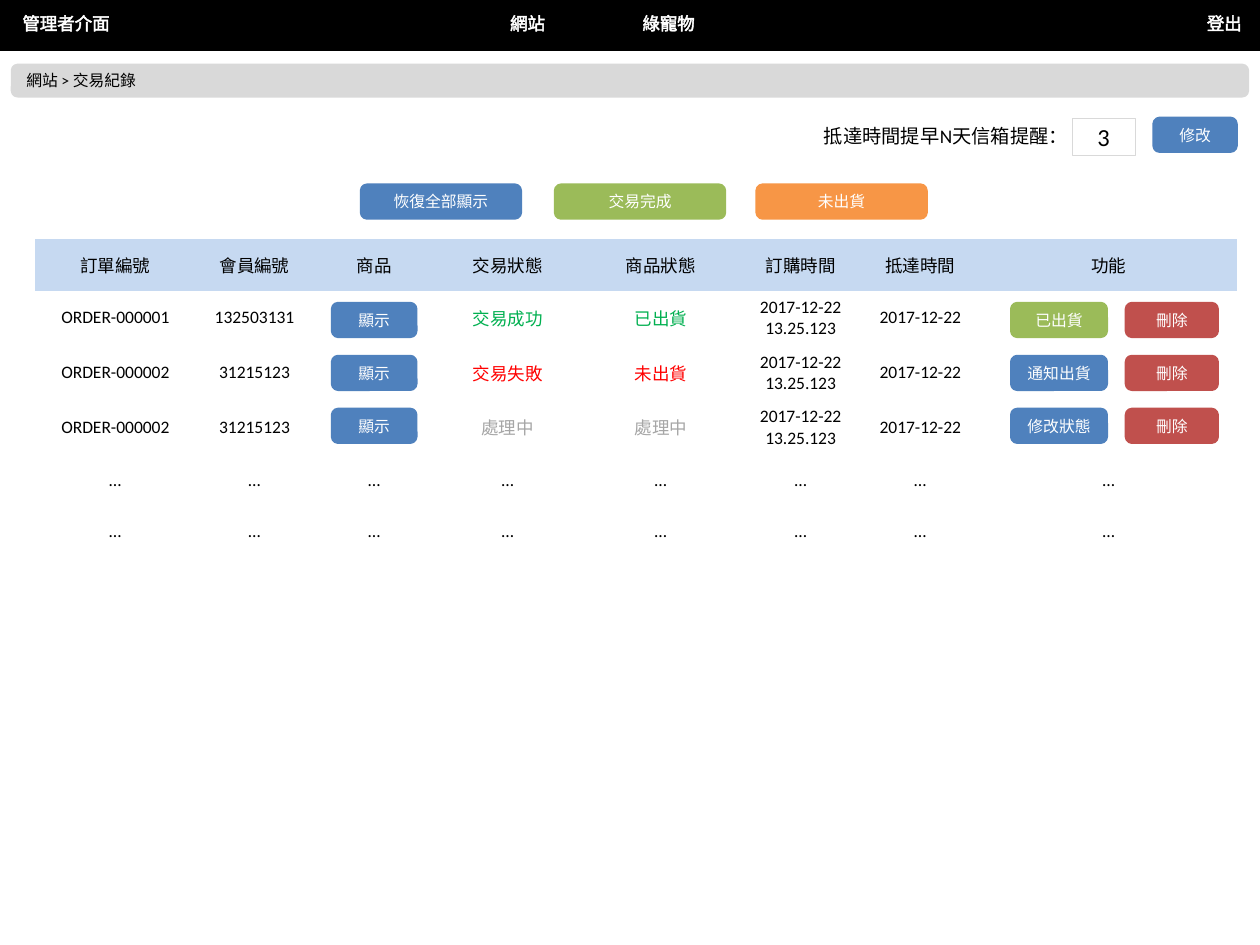
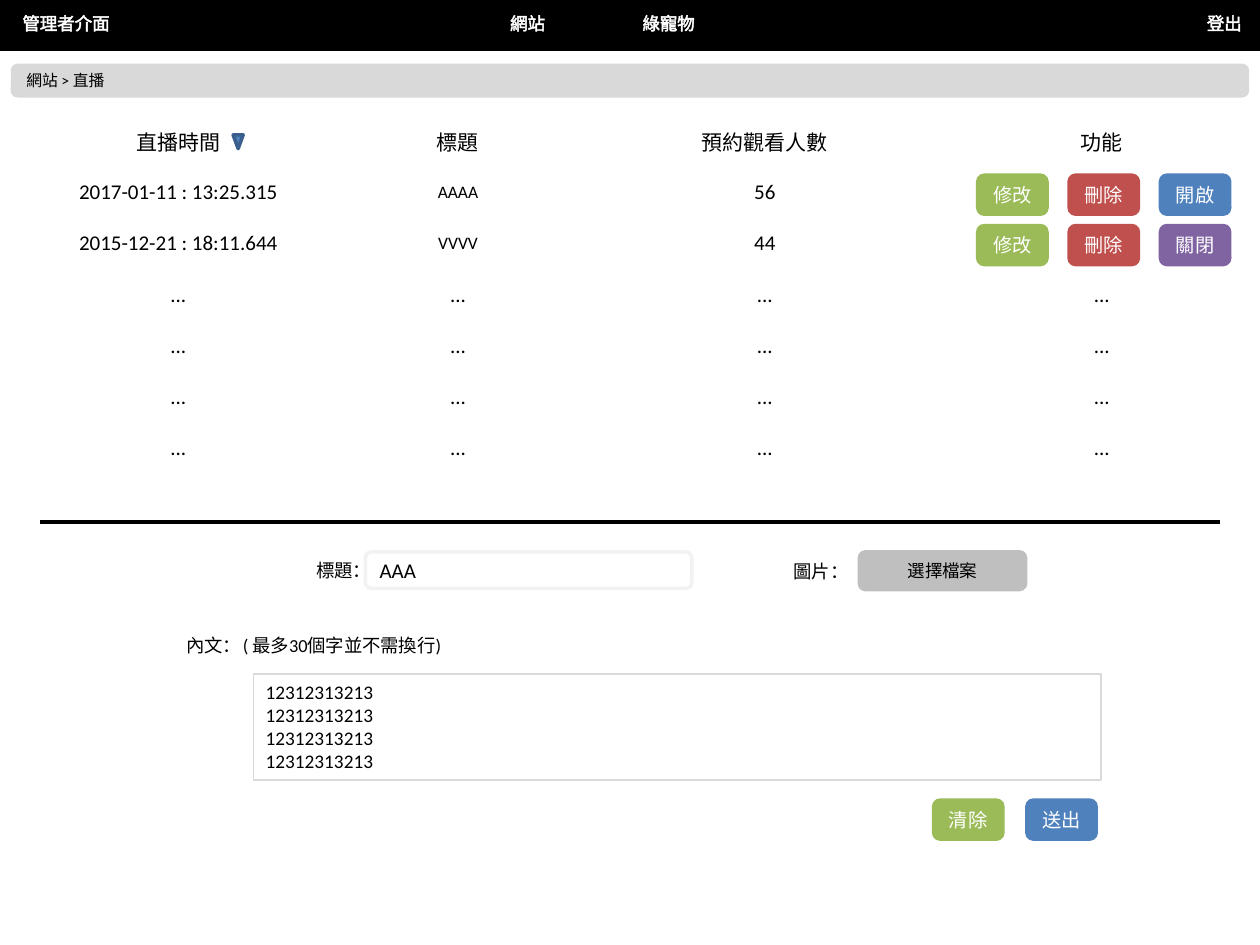
from dataclasses import dataclass

from pptx import Presentation
from pptx.dml.color import RGBColor
from pptx.enum.shapes import MSO_CONNECTOR, MSO_SHAPE
from pptx.enum.text import MSO_ANCHOR, MSO_AUTO_SIZE, PP_ALIGN
from pptx.oxml.ns import qn
from pptx.util import Inches, Pt
from lxml.etree import SubElement

SLIDE_WIDTH, SLIDE_HEIGHT = Inches(10), Inches(7.5)
COLUMN, ROW = SLIDE_WIDTH / 100, SLIDE_HEIGHT / 75
FONT = "Calibri"
PLAIN_TABLE = "{2D5ABB26-0587-4C30-8999-92F81FD0307C}"
COLORS = {
    "black": "000000", "white": "FFFFFF", "band": "D9D9D9", "header": "C6D9F1",
    "blue": "4F81BD", "green": "9BBB59", "orange": "F79646", "red": "C0504D",
    "purple": "8064A2", "picker": "BFBFBF", "field": "F2F2F2", "marker": "3A5F8C",
    "success": "00B050", "failure": "FF0000", "pending": "A6A6A6",
}


@dataclass
class Box:
    """A rectangle measured in grid columns and rows."""
    left: float
    top: float
    width: float
    height: float

    def inner(self, left, top, width, height):
        """Return a box placed relative to this one."""
        return Box(self.left + left, self.top + top, width, height)

    def lengths(self):
        """Return left, top, width and height as slide lengths."""
        return (round(self.left * COLUMN), round(self.top * ROW),
                round(self.width * COLUMN), round(self.height * ROW))


def rgb(name):
    """Look up a named colour."""
    return RGBColor.from_string(COLORS[name])


def write(frame, text, size, color="black", align=PP_ALIGN.LEFT):
    """Write lines of text into a frame and return the runs."""
    runs = []
    for index, line in enumerate(text.split("\n")):
        paragraph = frame.add_paragraph() if index else frame.paragraphs[0]
        paragraph.alignment = align
        run = paragraph.add_run()
        run.text = line
        run.font.name, run.font.size = FONT, Pt(size)
        run.font.color.rgb = rgb(color)
        runs.append(run)
    return runs


def add_label(slide, box, text, size, color="black", align=PP_ALIGN.LEFT, wrap=True):
    """Add a text box and return its runs."""
    frame = slide.shapes.add_textbox(*box.lengths()).text_frame
    frame.word_wrap = wrap
    frame.auto_size = MSO_AUTO_SIZE.SHAPE_TO_FIT_TEXT
    return write(frame, text, size, color, align)


def add_block(slide, box, fill, line=None, line_width=2, kind=MSO_SHAPE.ROUNDED_RECTANGLE):
    """Add a filled preset shape."""
    shape = slide.shapes.add_shape(kind, *box.lengths())
    shape.shadow.inherit = False
    shape.fill.solid()
    shape.fill.fore_color.rgb = rgb(fill)
    shape.line.color.rgb = rgb(line or fill)
    shape.line.width = Pt(line_width)
    shape.text_frame.vertical_anchor = MSO_ANCHOR.MIDDLE
    return shape


def add_button(slide, box, text, fill, size=9, color="white"):
    """Add a rounded button with a centred caption."""
    write(add_block(slide, box, fill).text_frame, text, size, color, PP_ALIGN.CENTER)


def add_grid(slide, box, widths, rows, style):
    """Add a plain table whose cells take size, colour and fill from style(row, column)."""
    table = slide.shapes.add_table(len(rows), len(widths), *box.lengths()).table
    table.first_row = table.horz_banding = False
    table._tbl.tblPr.find(qn("a:tableStyleId")).text = PLAIN_TABLE
    for column, width in zip(table.columns, widths):
        column.width = round(width * COLUMN)
    for row_index, texts in enumerate(rows):
        table.rows[row_index].height = round(4.06 * ROW)
        for column_index, text in enumerate(texts):
            cell = table.cell(row_index, column_index)
            size, color, fill = style(row_index, column_index)
            cell.vertical_anchor = MSO_ANCHOR.MIDDLE
            if fill:
                cell.fill.solid()
                cell.fill.fore_color.rgb = rgb(fill)
            else:
                cell.fill.background()
            if text:
                write(cell.text_frame, text, size, color, PP_ALIGN.CENTER)


def add_navigation(slide, box):
    """Draw the black bar with its outlined links."""
    add_block(slide, box, "black", kind=MSO_SHAPE.RECTANGLE)
    links = [("管理者介面", 0.8, 9), ("登出", 94.8, 4.8), ("網站", 39.5, 4.8), ("綠寵物", 50, 6.2)]
    for text, left, width in links:
        place = box.inner(left, 0.5, width, 2.7)
        for run in add_label(slide, place, text, 10, "white", wrap=False):
            properties = run._r.get_or_add_rPr()
            outline = SubElement(properties, qn("a:ln"), w=str(Pt(0.75)))
            fill = SubElement(outline, qn("a:solidFill"))
            SubElement(fill, qn("a:srgbClr"), val=COLORS["white"])
            properties.insert(0, outline)


def add_breadcrumb(slide, box, page):
    """Draw the grey band that shows where the page belongs."""
    write(add_block(slide, box, "band").text_frame, f"網站 > {page}", 9)


def add_page(presentation, page):
    """Add a blank slide with the shared navigation and breadcrumb."""
    slide = presentation.slides.add_slide(presentation.slide_layouts[6])
    add_navigation(slide, Box(0, 0, 100, 3.9))
    add_breadcrumb(slide, Box(1, 5.2, 98, 2.4), page)
    return slide


def add_reminder(slide, box):
    """Place the reminder setting: label, number of days and button."""
    add_label(slide, box.inner(0, 0, 21.5, 2.9), "抵達時間提早N天信箱提醒：", 11)
    days = add_block(slide, box.inner(20.7, 0, 5, 2.9), "white", "band", 0.5, MSO_SHAPE.RECTANGLE)
    write(days.text_frame, "3", 14, align=PP_ALIGN.CENTER)
    add_button(slide, box.inner(27.2, 0, 6.5, 2.6), "修改", "blue")


def add_filters(slide, box):
    """Place the three filter buttons."""
    filters = [("恢復全部顯示", "blue", 0, 12.6), ("交易完成", "green", 15.4, 13.4),
               ("未出貨", "orange", 31.4, 13.4)]
    for text, fill, left, width in filters:
        add_button(slide, box.inner(left, 0, width, box.height), text, fill)


def add_orders(slide, box):
    """Place the order table and the buttons of its rows."""
    ordered, arrival = "2017-12-22\n13.25.123", "2017-12-22"
    orders = [("ORDER-000001", "132503131", "交易成功", "已出貨"),
              ("ORDER-000002", "31215123", "交易失敗", "未出貨"),
              ("ORDER-000002", "31215123", "處理中", "處理中")]
    rows = [["訂單編號", "會員編號", "商品", "交易狀態", "商品狀態", "訂購時間", "抵達時間", "功能"]]
    rows += [[order, member, "", deal, goods, ordered, arrival, ""]
             for order, member, deal, goods in orders]
    rows += [["…"] * 8] * 2
    status_colors = {1: "success", 2: "failure", 3: "pending"}

    def style(row, column):
        """Tint the header and colour the two status columns."""
        color = status_colors.get(row, "black") if column in (3, 4) else "black"
        return 10, color, None if row else "header"

    add_grid(slide, box, [12.7, 9.4, 9.6, 11.6, 12.7, 9.5, 9.5, 20.4], rows, style)
    actions = [("已出貨", "green"), ("通知出貨", "blue"), ("修改狀態", "blue")]
    for index, (text, fill) in enumerate(actions):
        top = 5.1 + 4.2 * index
        add_button(slide, box.inner(23.6, top, 6.6, 2.6), "顯示", "blue")
        add_button(slide, box.inner(77.5, top, 7.5, 2.6), text, fill)
        add_button(slide, box.inner(86.6, top, 7.2, 2.6), "刪除", "red")


def add_broadcasts(slide, box):
    """Place the broadcast table, its sort marker and row buttons."""
    rows = [["直播時間", "標題", "預約觀看人數", "功能"],
            ["2017-01-11 : 13:25.315", "AAAA", "56", ""],
            ["2015-12-21 : 18:11.644", "VVVV", "44", ""]]
    rows += [["..."] * 4] * 4

    def style(row, column):
        """Set the two broadcast titles smaller."""
        return 10 if column == 1 and row in (1, 2) else 12, "black", None

    add_grid(slide, box, [26.3, 18.1, 30.6, 22.9], rows, style)
    marker = add_block(slide, box.inner(17.5, 1.5, 0.8, 1.1), "blue", "marker",
                       kind=MSO_SHAPE.ISOSCELES_TRIANGLE)
    marker.rotation = 180
    for row, switch in enumerate([("開啟", "blue"), ("關閉", "purple")]):
        for column, (text, fill) in enumerate([("修改", "green"), ("刪除", "red"), switch]):
            place = box.inner(76.6 + 7.25 * column, 4.7 + 4 * row, 5.5, 3.1)
            add_button(slide, place, text, fill, 11)


def add_divider(slide, box):
    """Draw a black rule along the top of the box."""
    left, top, width, _ = box.lengths()
    rule = slide.shapes.add_connector(MSO_CONNECTOR.STRAIGHT, left, top, left + width, top)
    rule.line.color.rgb = rgb("black")
    rule.line.width = Pt(2.25)
    SubElement(rule._element.spPr, qn("a:effectLst"))


def add_form(slide, box):
    """Place the form for a new broadcast."""
    add_label(slide, box.inner(9.6, 0.1, 6.3, 2.8), "標題：", 10.5, align=PP_ALIGN.CENTER)
    title = add_block(slide, box.inner(15.2, 0, 25.9, 2.9), "white", "field")
    write(title.text_frame, "AAA", 12)
    add_label(slide, box.inner(48.2, 0.2, 6.3, 2.8), "圖片：", 10.5)
    add_button(slide, box.inner(54.4, 0, 13.2, 3), "選擇檔案", "picker", 10, "black")
    add_label(slide, box.inner(0, 6, 6.3, 2.8), "內文：", 10.5)
    add_label(slide, box.inner(4.5, 6, 36.1, 2.8), "( 最多30個字並不需換行)", 10.5)
    body = add_block(slide, box.inner(6.3, 9.7, 67.3, 8.4), "white", "band", 0.75,
                     MSO_SHAPE.RECTANGLE)
    body.text_frame.vertical_anchor = MSO_ANCHOR.TOP
    write(body.text_frame, "\n".join(["12312313213"] * 4), 11)
    add_button(slide, box.inner(60.3, 19.7, 5.5, 3.1), "清除", "green", 11)
    add_button(slide, box.inner(67.7, 19.7, 5.5, 3.1), "送出", "blue", 11)


def build_orders_slide(presentation):
    """Build the page of transaction records."""
    slide = add_page(presentation, "交易紀錄")
    add_reminder(slide, Box(64.4, 9.4, 33.7, 2.9))
    add_filters(slide, Box(28.7, 14.7, 44.8, 2.6))
    add_orders(slide, Box(2.8, 19, 95.4, 25.2))


def build_broadcast_slide(presentation):
    """Build the page of live broadcasts."""
    slide = add_page(presentation, "直播")
    add_broadcasts(slide, Box(1, 9.2, 98, 28.4))
    add_divider(slide, Box(3.2, 41.4, 93.6, 0))
    add_form(slide, Box(13.8, 43.8, 73.6, 22.8))


def main():
    """Build and save the presentation."""
    presentation = Presentation()
    presentation.slide_width, presentation.slide_height = SLIDE_WIDTH, SLIDE_HEIGHT
    build_orders_slide(presentation)
    build_broadcast_slide(presentation)
    presentation.save("out.pptx")


if __name__ == "__main__":
    main()
